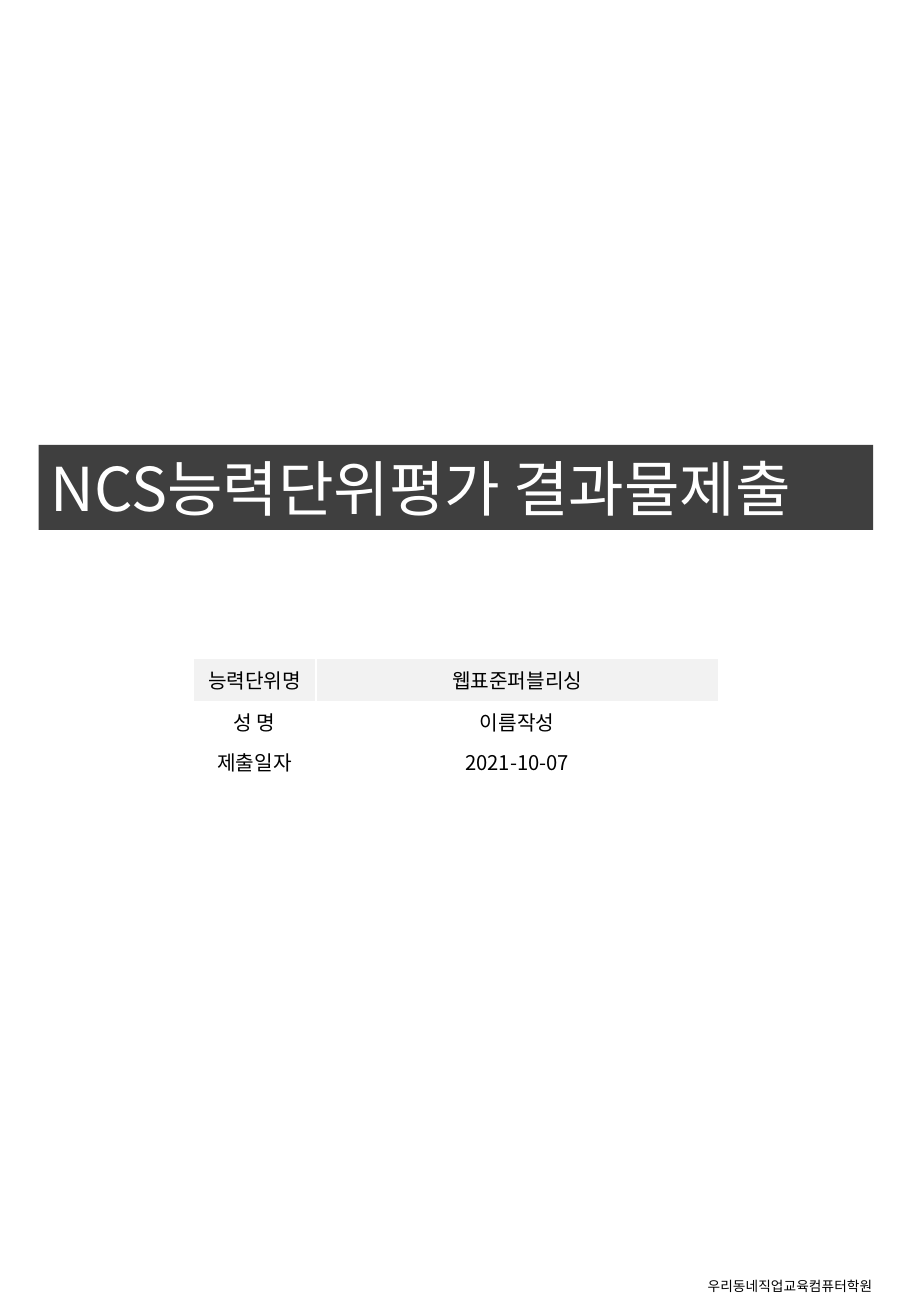
from dataclasses import dataclass
from typing import Optional

from lxml.etree import SubElement
from pptx import Presentation
from pptx.dml.color import RGBColor
from pptx.enum.text import MSO_ANCHOR as Anchor, MSO_AUTO_SIZE as AutoSize, PP_ALIGN as Align
from pptx.oxml.ns import qn
from pptx.slide import Slide
from pptx.text.text import TextFrame
from pptx.util import Cm, Pt


@dataclass(frozen=True)
class Theme:
    font: str = "Noto Sans CJK KR"
    header_font: str = "Arial"
    ink: str = "000000"
    paper: str = "FFFFFF"
    band: str = "3F3F3F"
    header: str = "F2F2F2"
    title_size: float = 35.8
    table_size: float = 12
    footer_size: float = 8.1


@dataclass(frozen=True)
class Row:
    label: str
    value: str
    height: float = 0.84
    font: str = Theme.font
    fill: Optional[str] = None


THEME = Theme()
COLUMN_WIDTHS = (2.57, 8.41)
ROWS = (
    Row("능력단위명", "웹표준퍼블리싱", 0.91, THEME.header_font, THEME.header),
    Row("성 명", "이름작성"),
    Row("제출일자", "2021-10-07"),
)


def write(tf: TextFrame, text: str, *, size: float, font: str = THEME.font,
          color: str = THEME.ink, align: Align = Align.LEFT,
          anchor: Anchor = Anchor.TOP) -> None:
    """Put one formatted paragraph in a text frame."""
    tf.vertical_anchor = anchor
    p = tf.paragraphs[0]
    p.alignment = align
    r = p.add_run()
    r.text = text
    r.font.size, r.font.name, r.font.bold = Pt(size), font, False
    r.font.color.rgb = RGBColor.from_string(color)
    SubElement(r.font._element, qn("a:ea"), typeface=THEME.font)


def set_box(tf: TextFrame) -> None:
    """Give a frame fixed size, wrapping and the usual margins."""
    tf.word_wrap, tf.auto_size = True, AutoSize.NONE
    tf.margin_left = tf.margin_right = Cm(0.25)
    tf.margin_top = tf.margin_bottom = Cm(0.13)


def add_title(s: Slide) -> None:
    sp = s.shapes.title
    sp.left, sp.top, sp.width, sp.height = Cm(0.81), Cm(9.3), Cm(17.45), Cm(1.78)
    sp.fill.solid()
    sp.fill.fore_color.rgb = RGBColor.from_string(THEME.band)
    set_box(sp.text_frame)
    write(sp.text_frame, "NCS능력단위평가 결과물제출", size=THEME.title_size,
          color=THEME.paper, anchor=Anchor.MIDDLE)


def add_details(s: Slide) -> None:
    table = s.shapes.add_table(
        len(ROWS), len(COLUMN_WIDTHS), Cm(4.04), Cm(13.76),
        Cm(sum(COLUMN_WIDTHS)), Cm(sum(row.height for row in ROWS))).table
    table.first_row = table.horz_banding = False
    for column, width in zip(table.columns, COLUMN_WIDTHS):
        column.width = Cm(width)
    for line, row in zip(table.rows, ROWS):
        line.height = Cm(row.height)
        for cell, text in zip(line.cells, (row.label, row.value)):
            cell.margin_left = cell.margin_right = Cm(0.2)
            cell.margin_top = cell.margin_bottom = Cm(0.1)
            cell.vertical_anchor = Anchor.MIDDLE
            if row.fill:
                cell.fill.solid()
                cell.fill.fore_color.rgb = RGBColor.from_string(row.fill)
            else:
                cell.fill.background()
            write(cell.text_frame, text, size=THEME.table_size, font=row.font,
                  align=Align.CENTER, anchor=Anchor.MIDDLE)


def add_footer(s: Slide) -> None:
    sp = s.shapes.add_textbox(Cm(14.55), Cm(26.59), Cm(4.27), Cm(0.61))
    set_box(sp.text_frame)
    write(sp.text_frame, "우리동네직업교육컴퓨터학원", size=THEME.footer_size)


def main() -> None:
    prs = Presentation()
    prs.slide_width, prs.slide_height = Cm(19.05), Cm(27.51)
    s = prs.slides.add_slide(prs.slide_layouts.get_by_name("Title Only"))
    add_footer(s)
    add_title(s)
    add_details(s)
    prs.save("out.pptx")


if __name__ == "__main__":
    main()
